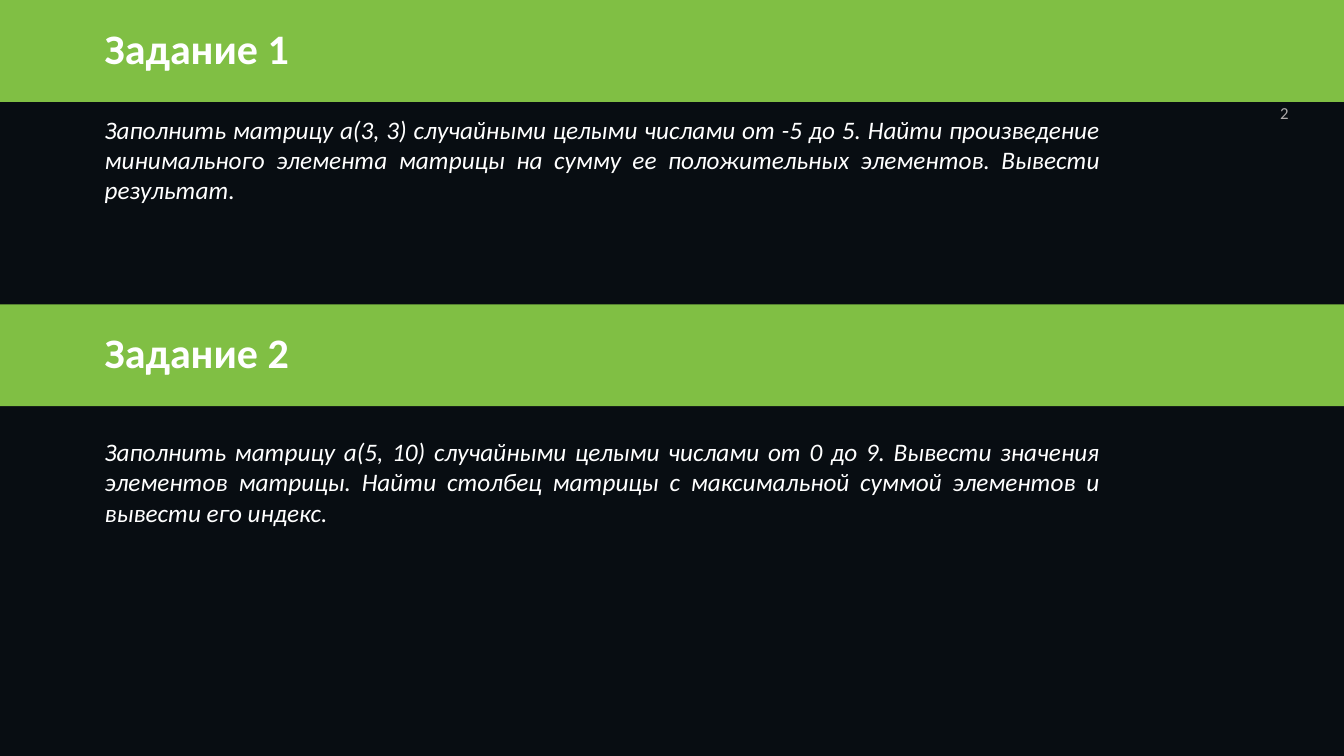
import pptx
import pptx.util
import pptx.dml.color
import pptx.enum.shapes
import pptx.enum.text

Color = pptx.dml.color.RGBColor
Inch = pptx.util.Inches
Align = pptx.enum.text.PP_ALIGN
Anchor = pptx.enum.text.MSO_ANCHOR

DARK = Color(0x08, 0x0D, 0x12)
GREEN = Color(0x80, 0xBF, 0x44)
WHITE = Color(0xFF, 0xFF, 0xFF)
GREY = Color(0xAF, 0xAB, 0xAB)

TASKS = [
    ("Задание 1", 0, 1.08,
     "Заполнить матрицу а(3, 3) случайными целыми числами от -5 до 5. "
     "Найти произведение минимального элемента матрицы на сумму ее "
     "положительных элементов. Вывести результат."),
    ("Задание 2", 3.02, 4.28,
     "Заполнить матрицу а(5, 10) случайными целыми числами от 0 до 9. "
     "Вывести значения элементов матрицы. Найти столбец матрицы с "
     "максимальной суммой элементов и вывести его индекс."),
]
PAGE = "2"
WIDE, HIGH = 13.33, 7.5
LEFT, BAND, PAD = 0.94, 1.01, 0.07


def add_text(slide, text, area, size, color, align, anchor=Anchor.TOP):
    box = slide.shapes.add_textbox(*map(Inch, area))
    frame = box.text_frame
    frame.word_wrap = True
    frame.vertical_anchor = anchor
    frame.text = text
    para = frame.paragraphs[0]
    para.alignment = align
    font = para.runs[0].font
    font.name = "Calibri"
    font.size = pptx.util.Pt(size)
    font.color.rgb = color
    return para


def add_band(slide, top):
    band = slide.shapes.add_shape(
        pptx.enum.shapes.MSO_SHAPE.RECTANGLE,
        0, Inch(top), Inch(WIDE), Inch(BAND))
    band.shadow.inherit = False
    band.fill.solid()
    band.fill.fore_color.rgb = GREEN
    band.line.fill.background()


def main():
    deck = pptx.Presentation()
    deck.slide_width, deck.slide_height = Inch(WIDE), Inch(HIGH)
    slide = deck.slides.add_slide(deck.slide_layouts[6])
    slide.background.fill.solid()
    slide.background.fill.fore_color.rgb = DARK

    for title, top, start, body in TASKS:
        add_band(slide, top)
        head = add_text(slide, title, (LEFT, top + PAD, 8.13, BAND - 2 * PAD),
                        30, WHITE, Align.LEFT, Anchor.MIDDLE)
        head.line_spacing = 0.9
        head.runs[0].font.bold = True
        text = add_text(slide, body, (LEFT, start, 10.07, BAND),
                        18, WHITE, Align.JUSTIFY)
        text.runs[0].font.italic = True

    add_text(slide, PAGE, (12.42, 0.92, 0.46, 0.4),
             12, GREY, Align.RIGHT, Anchor.MIDDLE)
    deck.save("out.pptx")


if __name__ == "__main__":
    main()
